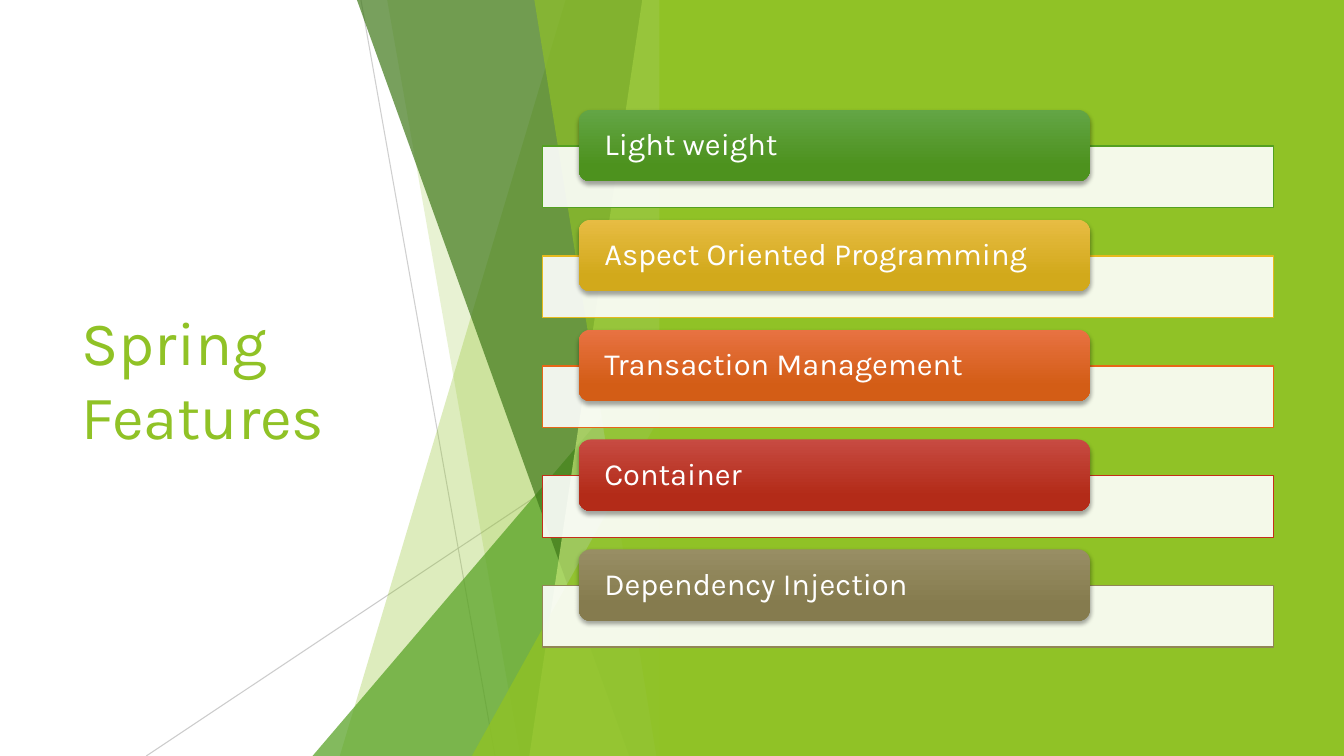
from dataclasses import dataclass

from lxml import etree
from pptx import Presentation
from pptx.dml.color import RGBColor
from pptx.enum.shapes import MSO_CONNECTOR, MSO_SHAPE
from pptx.enum.text import MSO_ANCHOR, MSO_AUTO_SIZE, PP_ALIGN
from pptx.oxml.ns import qn
from pptx.shapes.autoshape import Shape
from pptx.shapes.base import BaseShape
from pptx.slide import Slide
from pptx.text.text import TextFrame
from pptx.util import Inches, Pt

STRAIGHT = MSO_CONNECTOR.STRAIGHT
RECTANGLE = MSO_SHAPE.RECTANGLE
ROUNDED = MSO_SHAPE.ROUNDED_RECTANGLE
TRIANGLE = MSO_SHAPE.ISOSCELES_TRIANGLE
MIDDLE = MSO_ANCHOR.MIDDLE
NO_AUTOFIT = MSO_AUTO_SIZE.NONE
LEFT = PP_ALIGN.LEFT

FONT = "Karla"
LIME, WHITE, GREY = "90C226", "FFFFFF", "BFBFBF"
SLIDE_WIDTH, SLIDE_HEIGHT = 13.33, 7.5
FACET_EDGE = 6.66
PANEL_LEFT = 6.54
FIRST_BAR_TOP, BAR_PITCH, TAB_RISE = 1.45, 1.09, 0.36


@dataclass(frozen=True)
class Ray:
    start: tuple[float, float]
    end: tuple[float, float]
    opacity: int


@dataclass(frozen=True)
class Facet:
    top_left: float
    bottom_left: float
    color: str
    opacity: int


@dataclass(frozen=True)
class Wedge:
    left: float
    top: float
    color: str
    opacity: int


@dataclass(frozen=True)
class Feature:
    label: str
    outline: str
    gradient_top: str
    gradient_bottom: str


RAYS = [
    Ray((3.58, 0), (4.91, SLIDE_HEIGHT), 75),
    Ray((FACET_EDGE, 4.03), (1.45, SLIDE_HEIGHT), 80),
]
BACKDROP = [
    Facet(5.61, 3.37, LIME, 30),
    Facet(3.84, 5.16, LIME, 20),
    Wedge(3.1, 3.33, "54A021", 72),
    Facet(3.54, 6.24, "3F7819", 70),
    Facet(6.37, 5.25, "C0E474", 70),
    Facet(5.3, 6.51, LIME, 65),
    Wedge(4.68, 3.93, LIME, 80),
]
FEATURES = [
    Feature("Light weight", "54A021", "63A545", "4D921E"),
    Feature("Aspect Oriented Programming", "E6B91E", "E7BC43", "D2A91B"),
    Feature("Transaction Management", "E76618", "E87242", "D35D16"),
    Feature("Container", "C42F1A", "C74B42", "B32B18"),
    Feature("Dependency Injection", "918655", "988E64", "857B4E"),
]


def rgb(color: str) -> RGBColor:
    return RGBColor.from_string(color)


def set_opacity(shape: BaseShape, percent: int) -> None:
    color = shape._element.spPr.find(".//" + qn("a:srgbClr"))
    etree.SubElement(color, qn("a:alpha"), val=str(percent * 1000))


def fill_solid(shape: Shape, color: str, opacity: int = 100) -> None:
    shape.shadow.inherit = False
    shape.fill.solid()
    shape.fill.fore_color.rgb = rgb(color)
    shape.line.fill.background()
    if opacity < 100:
        set_opacity(shape, opacity)


def add_box(slide: Slide, kind: MSO_SHAPE, left: float, top: float,
            width: float, height: float) -> Shape:
    return slide.shapes.add_shape(
        kind, Inches(left), Inches(top), Inches(width), Inches(height))


def write_text(frame: TextFrame, text: str, size: int, color: str,
               frame_format: dict, line_spacing: float) -> None:
    for name, value in frame_format.items():
        setattr(frame, name, value)
    paragraph = frame.paragraphs[0]
    paragraph.alignment = LEFT
    paragraph.line_spacing = line_spacing
    run = paragraph.add_run()
    run.text = text
    for name, value in {"name": FONT, "size": Pt(size)}.items():
        setattr(run.font, name, value)
    run.font.color.rgb = rgb(color)


def place_title(slide: Slide) -> None:
    title = slide.shapes.title
    box = {"left": 0.71, "top": 1.51, "width": 3.88, "height": 4.48}
    for name, value in box.items():
        setattr(title, name, Inches(value))
    frame_format = {"word_wrap": True, "vertical_anchor": MIDDLE, "auto_size": NO_AUTOFIT}
    write_text(title.text_frame, "Spring Features", 44, LIME, frame_format, 1.0)


def draw_ray(slide: Slide, ray: Ray) -> None:
    connector = slide.shapes.add_connector(
        STRAIGHT, *(Inches(value) for value in ray.start + ray.end))
    connector.line.color.rgb = rgb(GREY)
    connector.line.width = Pt(0.75)
    set_opacity(connector, ray.opacity)
    etree.SubElement(connector._element.spPr, qn("a:effectLst"))


def draw_facet(slide: Slide, facet: Facet) -> None:
    builder = slide.shapes.build_freeform(Inches(facet.top_left), 0)
    corners = [(FACET_EDGE, 0), (FACET_EDGE, SLIDE_HEIGHT), (facet.bottom_left, SLIDE_HEIGHT)]
    builder.add_line_segments([(Inches(x), Inches(y)) for x, y in corners], close=True)
    fill_solid(builder.convert_to_shape(), facet.color, facet.opacity)


def draw_wedge(slide: Slide, wedge: Wedge) -> None:
    triangle = add_box(slide, TRIANGLE, wedge.left, wedge.top,
                       FACET_EDGE - wedge.left, SLIDE_HEIGHT - wedge.top)
    triangle.adjustments[0] = 1.0
    fill_solid(triangle, wedge.color, wedge.opacity)


def add_soft_shadow(shape: Shape) -> None:
    shape.shadow.inherit = False
    effects = shape._element.spPr.find(qn("a:effectLst"))
    shadow = etree.SubElement(
        effects, qn("a:outerShdw"), blurRad=str(Pt(3)), dist=str(Pt(2)),
        dir="5400000", rotWithShape="0")
    color = etree.SubElement(shadow, qn("a:srgbClr"), val="000000")
    etree.SubElement(color, qn("a:alpha"), val="35000")


def draw_feature(slide: Slide, feature: Feature, bar_top: float) -> None:
    bar = add_box(slide, RECTANGLE, 5.38, bar_top, 7.25, 0.61)
    fill_solid(bar, WHITE, 90)
    bar.line.color.rgb = rgb(feature.outline)
    bar.line.width = Pt(1)

    tab = add_box(slide, ROUNDED, 5.74, bar_top - TAB_RISE, 5.07, 0.71)
    tab.line.fill.background()
    tab.fill.gradient()
    tab.fill.gradient_angle = 270
    stops = [(0, feature.gradient_top), (0.78, feature.gradient_bottom)]
    for stop, (position, color) in zip(tab.fill.gradient_stops, stops):
        stop.position = position
        stop.color.rgb = rgb(color)
    add_soft_shadow(tab)
    frame_format = {
        "word_wrap": True, "vertical_anchor": MIDDLE,
        "margin_left": Inches(0.22), "margin_right": Inches(0.22),
        "margin_top": 0, "margin_bottom": 0,
    }
    write_text(tab.text_frame, feature.label, 22, WHITE, frame_format, 0.9)


def main() -> None:
    presentation = Presentation()
    presentation.slide_width = Inches(SLIDE_WIDTH)
    presentation.slide_height = Inches(SLIDE_HEIGHT)
    slide = presentation.slides.add_slide(presentation.slide_layouts[5])
    place_title(slide)
    for ray in RAYS:
        draw_ray(slide, ray)
    for part in BACKDROP:
        if isinstance(part, Facet):
            draw_facet(slide, part)
        else:
            draw_wedge(slide, part)
    panel = add_box(slide, RECTANGLE, PANEL_LEFT, 0, SLIDE_WIDTH - PANEL_LEFT, SLIDE_HEIGHT)
    fill_solid(panel, LIME)
    for index, feature in enumerate(FEATURES):
        draw_feature(slide, feature, FIRST_BAR_TOP + index * BAR_PITCH)
    presentation.save("out.pptx")


if __name__ == "__main__":
    main()
